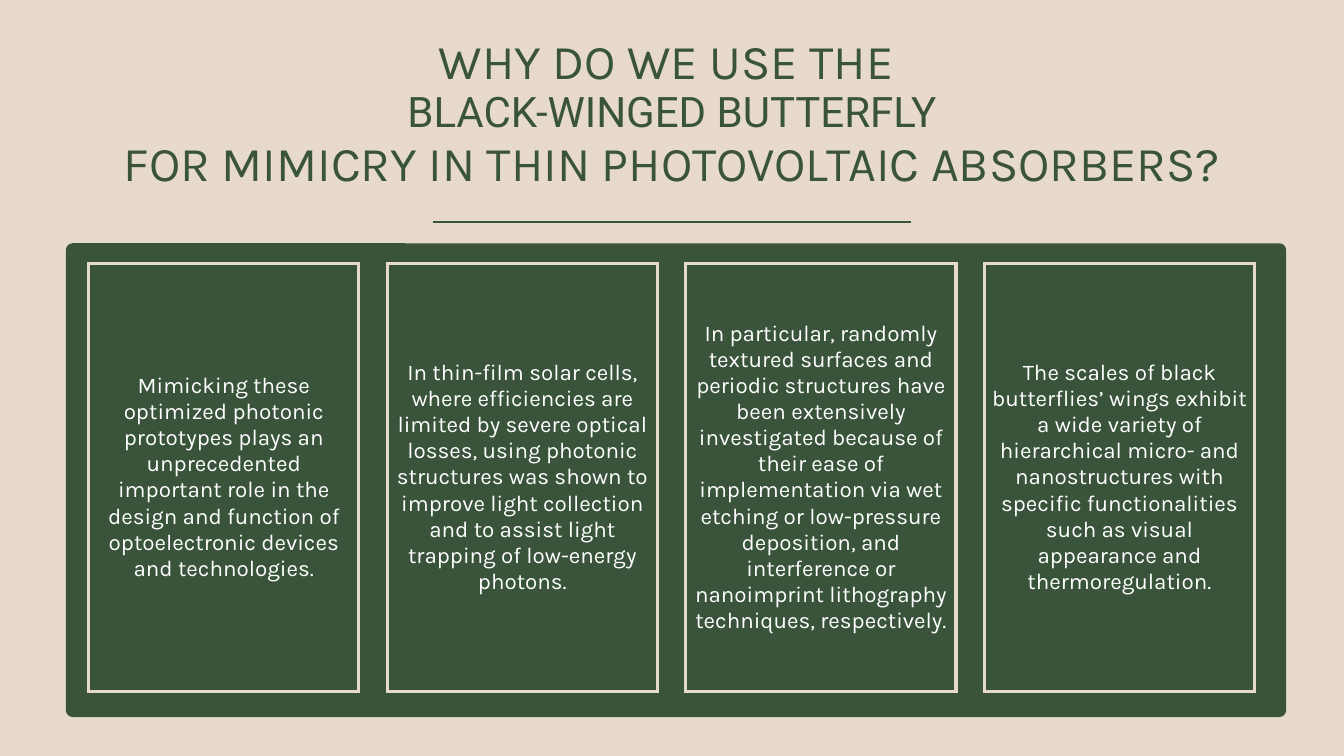
import lxml.etree
import pptx
import pptx.dml.color
import pptx.enum.shapes
import pptx.enum.text
import pptx.oxml.ns
import pptx.util

WIDTH, HEIGHT = 20, 11.25
COLORS = {"sand": "E7D9CD", "green": "39543B", "white": "FFFFFF"}
CENTER = pptx.enum.text.PP_ALIGN.CENTER

# text, font, size, line spacing
TITLE = [
    ("WHY DO WE USE THE ", "Karla", 52, 81.6),
    ("BLACK-WINGED BUTTERFLY", "Roboto", 45, 50.9),
    ("FOR MIMICRY IN THIN PHOTOVOLTAIC ABSORBERS?", "Karla", 52, 58.8),
]
REASONS = [
    "Mimicking these optimized photonic prototypes plays an unprecedented important role "
    "in the design and function of optoelectronic devices and technologies.",
    "In thin-film solar cells, where efficiencies are limited by severe optical losses, "
    "using photonic structures was shown to improve light collection and to assist light "
    "trapping of low-energy photons.",
    "In particular, randomly textured surfaces and periodic structures have been extensively "
    "investigated because of their ease of implementation via wet etching or low-pressure "
    "deposition, and interference or nanoimprint lithography techniques, respectively.",
    "The scales of black butterflies’ wings exhibit a wide variety of hierarchical micro- and "
    "nanostructures with specific functionalities such as visual appearance and thermoregulation.",
]


def color(name):
    return pptx.dml.color.RGBColor.from_string(COLORS[name])


def inches(*lengths):
    return [pptx.util.Inches(length) for length in lengths]


def set_all(target, values):
    for name, value in values.items():
        setattr(target, name, value)


def write(paragraph, text, font, size, color_name):
    paragraph.alignment = CENTER
    run = paragraph.add_run()
    run.text = text
    set_all(run.font, {"name": font, "size": pptx.util.Pt(size)})
    run.font.color.rgb = color(color_name)


def add_title(slide, left, top, width, height):
    frame = slide.shapes.add_textbox(*inches(left, top, width, height)).text_frame
    set_all(frame, {"word_wrap": True, "margin_left": 0, "margin_right": 0,
                    "margin_top": 0, "margin_bottom": 0})
    for index, (text, font, size, spacing) in enumerate(TITLE):
        paragraph = frame.add_paragraph() if index else frame.paragraphs[0]
        paragraph.line_spacing = pptx.util.Pt(spacing)
        write(paragraph, text, font, size, "green")


def add_rule(slide, left, top, width):
    rule = slide.shapes.add_connector(
        pptx.enum.shapes.MSO_CONNECTOR.STRAIGHT, *inches(left, top, left + width, top))
    rule.line.color.rgb = color("green")
    rule.line.width = pptx.util.Pt(2.25)
    lxml.etree.SubElement(rule._element.spPr, pptx.oxml.ns.qn("a:effectLst"))


def add_border(cell, color_name, points):
    """Draw all four sides; the lines must precede the fill in the cell's XML."""
    properties = cell._tc.get_or_add_tcPr()
    for index, side in enumerate(("lnL", "lnR", "lnT", "lnB")):
        line = lxml.etree.Element(pptx.oxml.ns.qn("a:" + side), w=str(pptx.util.Pt(points)))
        fill = lxml.etree.SubElement(line, pptx.oxml.ns.qn("a:solidFill"))
        lxml.etree.SubElement(fill, pptx.oxml.ns.qn("a:srgbClr"), val=COLORS[color_name])
        properties.insert(index, line)


def add_card(slide, text, left, top, width, height):
    table = slide.shapes.add_table(1, 1, *inches(left, top, width, height)).table
    set_all(table, {"first_row": False, "horz_banding": False})
    cell = table.cell(0, 0)
    cell.vertical_anchor = pptx.enum.text.MSO_ANCHOR.MIDDLE
    cell.fill.background()
    add_border(cell, "sand", 3.75)
    write(cell.text_frame.paragraphs[0], text, "Karla", 24, "white")


def add_panel(slide, left, top, width, height):
    """Rounded panel with one framed card per reason."""
    panel = slide.shapes.add_shape(
        pptx.enum.shapes.MSO_SHAPE.ROUNDED_RECTANGLE, *inches(left, top, width, height))
    panel.adjustments[0] = 0.1 / height
    panel.shadow.inherit = False
    panel.fill.solid()
    panel.fill.fore_color.rgb = color("green")
    panel.line.fill.background()

    card_width, gap = 4.02, 0.423
    for column, text in enumerate(REASONS):
        card_left = left + 0.34 + column * (card_width + gap)
        add_card(slide, text, card_left, top + 0.3, card_width, height - 0.68)


def main():
    presentation = pptx.Presentation()
    set_all(presentation, {"slide_width": pptx.util.Inches(WIDTH),
                           "slide_height": pptx.util.Inches(HEIGHT)})
    slide = presentation.slides.add_slide(presentation.slide_layouts[6])
    slide.background.fill.solid()
    slide.background.fill.fore_color.rgb = color("sand")

    rule_width = WIDTH * 0.355
    add_rule(slide, (WIDTH - rule_width) / 2, 3.31, rule_width)
    add_panel(slide, 0.98, 3.62, 18.16, 7.05)
    add_title(slide, 0, 0.19, WIDTH, 2.73)
    presentation.save("out.pptx")


if __name__ == "__main__":
    main()
